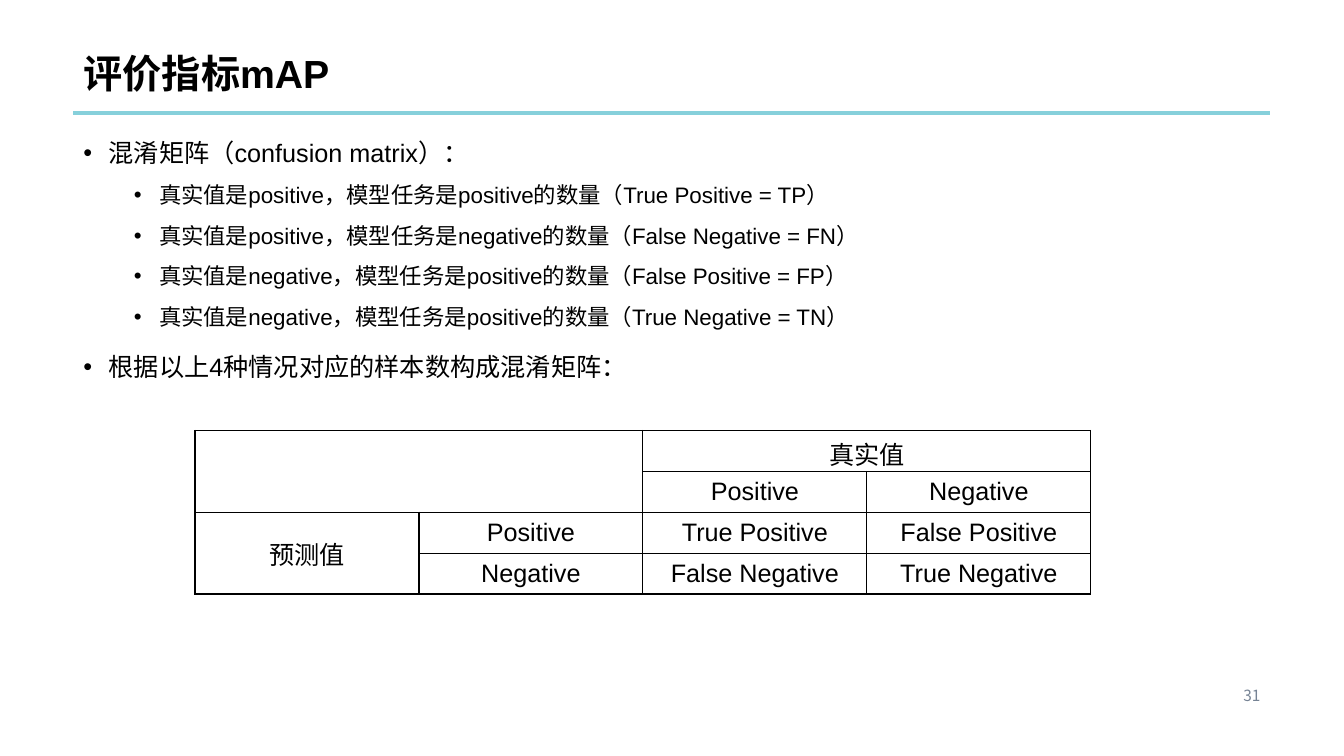
from dataclasses import dataclass

from lxml.etree import SubElement
from pptx import Presentation
from pptx.dml.color import RGBColor as Color
from pptx.enum.shapes import MSO_CONNECTOR as Connector
from pptx.enum.text import MSO_ANCHOR as Anchor, PP_ALIGN as Align
from pptx.oxml import parse_xml
from pptx.oxml.ns import nsdecls, qn
from pptx.util import Pt


@dataclass(frozen=True)
class Theme:
    ink: str = "000000"
    rule: str = "86D0DB"
    muted: str = "768394"
    latin: str = "Arial"
    chinese: str = "Noto Sans CJK SC"
    title: int = 28
    body: int = 18
    detail: int = 16
    number: int = 11


class SlideBuilder:
    """Adds styled elements to one slide."""

    def __init__(self, deck, theme):
        self.theme = theme
        self.slide = deck.slides.add_slide(deck.slide_layouts[5])

    def style(self, para, size, color=None, latin=None, bold=False):
        for run in para.runs:
            font = run.font
            font.size, font.bold = Pt(size), bold
            font.name = latin or self.theme.latin
            font.color.rgb = Color.from_string(color or self.theme.ink)
            east_asian = SubElement(font._element, qn("a:ea"))
            east_asian.set("typeface", self.theme.chinese)

    def title(self, text, left, top, width, height):
        box = self.slide.shapes.title
        box.left, box.top, box.width, box.height = map(Pt, (left, top, width, height))
        frame = box.text_frame
        frame.text = text
        frame.vertical_anchor = Anchor.BOTTOM
        para = frame.paragraphs[0]
        para.alignment, para.line_spacing = Align.LEFT, 0.9
        self.style(para, self.theme.title, bold=True)

    def rule(self, left, right, y):
        line = self.slide.shapes.add_connector(Connector.STRAIGHT, Pt(left), Pt(y), Pt(right), Pt(y))
        line.line.color.rgb = Color.from_string(self.theme.rule)
        line.line.width = Pt(3)
        SubElement(line._element.spPr, qn("a:effectLst"))

    def text_box(self, left, top, width, height):
        box = self.slide.shapes.add_textbox(Pt(left), Pt(top), Pt(width), Pt(height))
        box.text_frame.word_wrap = True
        return box.text_frame

    def bullets(self, items, left, top, width, height):
        frame = self.text_box(left, top, width, height)
        for index, (level, text) in enumerate(items):
            para = frame.add_paragraph() if index else frame.paragraphs[0]
            para.text = text
            para.level, para.line_spacing = level, 1.25
            para.space_before = Pt((5 if level else 10) if index else 0)
            properties = para._p.get_or_add_pPr()
            properties.set("marL", str(Pt(18 + 36 * level)))
            properties.set("indent", str(Pt(-18)))
            SubElement(properties, qn("a:buFont")).set("typeface", self.theme.latin)
            SubElement(properties, qn("a:buChar")).set("char", "•")
            self.style(para, self.theme.detail if level else self.theme.body)

    def number(self, text, left, top, width, height):
        para = self.text_box(left, top, width, height).paragraphs[0]
        para.text, para.alignment = text, Align.RIGHT
        self.style(para, self.theme.number, self.theme.muted, self.theme.chinese)

    def border(self, cell):
        properties = cell._tc.get_or_add_tcPr()
        for index, side in enumerate(("lnL", "lnR", "lnT", "lnB")):
            properties.insert(index, parse_xml(
                f'<a:{side} {nsdecls("a")} w="{Pt(1)}"><a:solidFill>'
                f'<a:srgbClr val="{self.theme.ink}"/></a:solidFill></a:{side}>'))

    def table(self, rows, merges, left, top, width, height):
        shape = self.slide.shapes.add_table(
            len(rows), len(rows[0]), Pt(left), Pt(top), Pt(width), Pt(height))
        table = shape.table
        table.first_row = table.horz_banding = False
        for start, end in merges:
            table.cell(*start).merge(table.cell(*end))
        for row, texts in enumerate(rows):
            for column, text in enumerate(texts):
                cell = table.cell(row, column)
                cell.fill.background()
                self.border(cell)
                cell.vertical_anchor = Anchor.MIDDLE
                cell.text = text
                para = cell.text_frame.paragraphs[0]
                para.alignment = Align.CENTER
                self.style(para, self.theme.body)


def main():
    deck = Presentation()
    deck.slide_width, deck.slide_height = Pt(960), Pt(540)
    page = SlideBuilder(deck, Theme())
    left, width = 52.5, 855

    page.rule(left, left + width, 80.75)
    page.number("31", 789, 486.75, 118.5, 21)
    page.title("评价指标mAP", left, 0, width, 72.75)
    page.bullets([
        (0, "混淆矩阵（confusion matrix）："),
        (1, "真实值是positive，模型任务是positive的数量（True Positive = TP）"),
        (1, "真实值是positive，模型任务是negative的数量（False Negative = FN）"),
        (1, "真实值是negative，模型任务是positive的数量（False Positive = FP）"),
        (1, "真实值是negative，模型任务是positive的数量（True Negative = TN）"),
        (0, "根据以上4种情况对应的样本数构成混淆矩阵："),
    ], left, 89.25, width, 394.5)
    page.table([
        ["", "", "真实值", ""],
        ["", "", "Positive", "Negative"],
        ["预测值", "Positive", "True Positive", "False Positive"],
        ["", "Negative", "False Negative", "True Negative"],
    ], [((0, 0), (1, 1)), ((0, 2), (0, 3)), ((2, 0), (3, 0))], 139.25, 307.5, 640, 116.8)
    deck.save("out.pptx")


if __name__ == "__main__":
    main()
